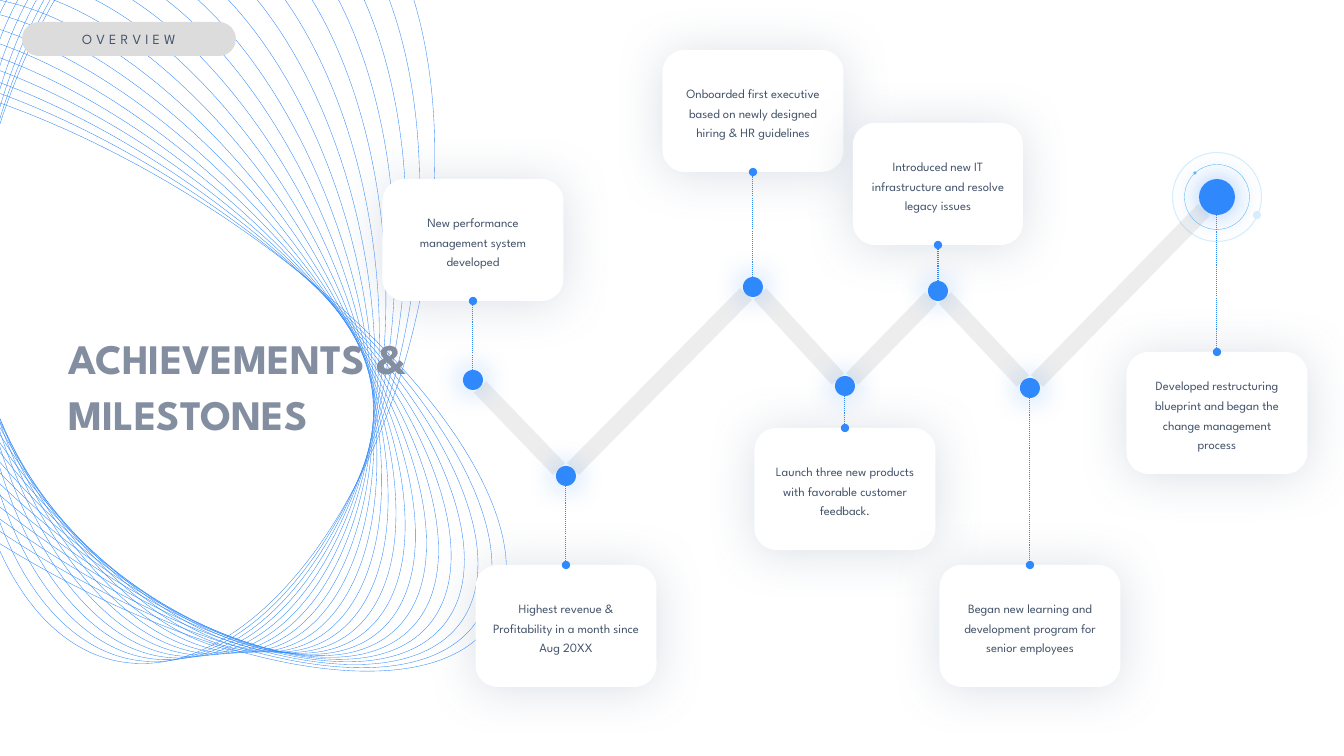
import math
from dataclasses import dataclass
from itertools import pairwise

import pptx
import pptx.util
from lxml import etree
from pptx.dml.color import RGBColor
from pptx.enum.dml import MSO_LINE
from pptx.enum.shapes import MSO_CONNECTOR, MSO_SHAPE
from pptx.enum.text import MSO_ANCHOR, MSO_AUTO_SIZE, PP_ALIGN
from pptx.oxml.ns import qn

EMU_PER_PX = 914400 / 100.8
FONT = "League Spartan"
COLORS = {
    "blue": "3089FC",
    "sky": "58B8FA",
    "pale": "D7EEFE",
    "grey": "DCDCDC",
    "white": "FFFFFF",
    "title": "848EA1",
    "text": "44546A",
    "shade": "8497B0",
}
CARD_HEIGHT = 122
RING_COUNT = 22


@dataclass(frozen=True)
class Milestone:
    x: int
    y: int
    card_top: int
    lines: tuple[str, ...]
    card_width: int = 181
    radius: int = 10


@dataclass(frozen=True)
class Shadow:
    color: str
    opacity: int
    blur: int
    distance: int = 0


@dataclass(frozen=True)
class Ring:
    """An ellipse given by its centre and the ends of two conjugate radii."""
    center: tuple[int, int]
    top: tuple[int, int]
    right: tuple[int, int]


@dataclass(frozen=True)
class Disc:
    x: int
    y: int
    diameter: int
    fill: str | None = None
    line: str | None = None
    line_width: float = 0.25
    opacity: int = 100


GLOW = Shadow("blue", 50, 21)
CARD_SHADOW = Shadow("shade", 30, 35, 2)
FIRST_RING = Ring((199, 254), (276, -154), (422, 290))
LAST_RING = Ring((94, 369), (-295, 105), (231, 222))
MILESTONES = (
    Milestone(473, 380, 179, ("New performance", "management system developed")),
    Milestone(566, 476, 565, ("Highest revenue &", "Profitability in a month since Aug 20XX")),
    Milestone(753, 287, 50, ("Onboarded first executive based on newly designed hiring & HR guidelines",)),
    Milestone(845, 386, 428, ("Launch three new products with favorable customer feedback.",)),
    Milestone(938, 291, 123, ("Introduced new IT infrastructure and resolve legacy issues",), 170),
    Milestone(1030, 388, 565, ("Began new learning and development program for senior employees",)),
    Milestone(1217, 197, 352,
              ("Developed restructuring blueprint and began the change management process",), radius=18),
)
ORBITS = (
    Disc(1217, 197, 89, line="sky", line_width=0.75, opacity=24),
    Disc(1257, 215, 8, fill="pale"),
    Disc(1217, 197, 65, line="sky"),
    Disc(1195, 173, 3, fill="sky"),
)


def emu(px: float) -> pptx.util.Emu:
    return pptx.util.Emu(round(px * EMU_PER_PX))


def rgb(name: str) -> RGBColor:
    return RGBColor.from_string(COLORS[name])


def style_line(shape, color: str, width: float, opacity: int = 100) -> None:
    shape.line.color.rgb = rgb(color)
    shape.line.width = pptx.util.Pt(width)
    if opacity < 100:
        tint = shape.element.find(f".//{qn('a:ln')}//{qn('a:srgbClr')}")
        etree.SubElement(tint, qn("a:alpha"), val=str(opacity * 1000))


def add_preset(page, kind, left: float, top: float, width: float, height: float,
               fill: str | None, shadow: Shadow | None = None):
    shape = page.shapes.add_shape(kind, emu(left), emu(top), emu(width), emu(height))
    if fill:
        shape.fill.solid()
        shape.fill.fore_color.rgb = rgb(fill)
    else:
        shape.fill.background()
    shape.line.fill.background()
    shape.shadow.inherit = False
    if shadow:
        effects = shape.element.find(f".//{qn('a:effectLst')}")
        outer = etree.SubElement(
            effects, qn("a:outerShdw"), blurRad=str(pptx.util.Pt(shadow.blur)),
            dist=str(pptx.util.Pt(shadow.distance)), dir="5400000", algn="ctr", rotWithShape="0")
        tint = etree.SubElement(outer, qn("a:srgbClr"), val=COLORS[shadow.color])
        etree.SubElement(tint, qn("a:alpha"), val=str(shadow.opacity * 1000))
    return shape


def add_disc(page, disc: Disc, shadow: Shadow | None = None) -> None:
    half = disc.diameter / 2
    shape = add_preset(page, MSO_SHAPE.OVAL, disc.x - half, disc.y - half,
                       disc.diameter, disc.diameter, disc.fill, shadow)
    if disc.line:
        style_line(shape, disc.line, disc.line_width, disc.opacity)


def style_font(para, size: int, color: str, bold: bool = False) -> None:
    para.font.name = FONT
    para.font.size = pptx.util.Pt(size)
    para.font.bold = bold
    para.font.color.rgb = rgb(color)


def fill_label(shape, lines: tuple[str, ...], size: int, side_inset: int):
    frame = shape.text_frame
    frame.word_wrap = True
    frame.vertical_anchor = MSO_ANCHOR.MIDDLE
    frame.margin_left = frame.margin_right = emu(side_inset)
    frame.margin_top = frame.margin_bottom = 0
    frame.text = "\n".join(lines)
    for para in frame.paragraphs:
        para.alignment = PP_ALIGN.CENTER
        style_font(para, size, "text")
    return frame


def add_line(page, start: tuple[int, int], end: tuple[int, int]):
    line = page.shapes.add_connector(MSO_CONNECTOR.STRAIGHT, *map(emu, start + end))
    etree.SubElement(line.element.spPr, qn("a:effectLst"))
    return line


def add_rings(page) -> None:
    """Draw the fan of ellipses that turns from the first ring to the last."""
    def blend(first: tuple[int, int], last: tuple[int, int], share: float) -> complex:
        return complex(*(a + (b - a) * share for a, b in zip(first, last)))

    for index in range(RING_COUNT):
        share = index / (RING_COUNT - 1)
        center = blend(FIRST_RING.center, LAST_RING.center, share)
        up = blend(FIRST_RING.top, LAST_RING.top, share) - center
        across = blend(FIRST_RING.right, LAST_RING.right, share) - center
        turn = math.atan2(2 * (up.conjugate() * across).real, abs(up) ** 2 - abs(across) ** 2) / 2
        major = up * math.cos(turn) + across * math.sin(turn)
        minor = across * math.cos(turn) - up * math.sin(turn)
        ring = add_preset(page, MSO_SHAPE.OVAL, center.real - abs(major), center.imag - abs(minor),
                          2 * abs(major), 2 * abs(minor), None)
        ring.rotation = math.degrees(math.atan2(major.imag, major.real)) % 360
        style_line(ring, "blue", 0.25)


def place_title(page) -> None:
    title = page.shapes.title
    title.element.getparent().append(title.element)
    title.left, title.top, title.width, title.height = map(emu, (58, 322, 359, 118))
    frame = title.text_frame
    frame.word_wrap = True
    frame.auto_size = MSO_AUTO_SIZE.SHAPE_TO_FIT_TEXT
    frame.vertical_anchor = MSO_ANCHOR.TOP
    frame.text = "ACHIEVEMENTS & MILESTONES"
    para = frame.paragraphs[0]
    para.alignment = PP_ALIGN.LEFT
    para.line_spacing = pptx.util.Pt(40)
    style_font(para, 30, "title", bold=True)


def add_link(page, start: Milestone, end: Milestone) -> None:
    """Join two nodes with a thick band between their diagonal edge points."""
    slope = 1 if end.y > start.y else -1
    near, far = (round(node.radius * math.sqrt(0.5)) for node in (start, end))
    link = add_line(page, (start.x + near, start.y + slope * near),
                    (end.x - far, end.y - slope * far))
    style_line(link, "grey", 12, 50)


def add_milestone(page, stone: Milestone) -> None:
    add_disc(page, Disc(stone.x, stone.y, 2 * stone.radius, fill="blue"), GLOW)
    card = add_preset(page, MSO_SHAPE.ROUNDED_RECTANGLE, stone.x - stone.card_width / 2,
                      stone.card_top, stone.card_width, CARD_HEIGHT, "white", CARD_SHADOW)
    card.adjustments[0] = 0.18
    for para in fill_label(card, stone.lines, 9, 10).paragraphs:
        para.line_spacing = pptx.util.Pt(14)
    below = stone.card_top > stone.y
    edge = stone.y + (stone.radius if below else -stone.radius)
    stem = add_line(page, (stone.x, edge), (stone.x, stone.card_top))
    stem.end_connect(card, 0 if below else 2)
    style_line(stem, "blue", 0.75)
    stem.line.dash_style = MSO_LINE.ROUND_DOT
    etree.SubElement(stem.element.find(f".//{qn('a:ln')}"), qn("a:tailEnd"), type="oval")


def add_section_pill(page) -> None:
    pill = add_preset(page, MSO_SHAPE.ROUNDED_RECTANGLE, 22, 22, 214, 34, "grey")
    pill.adjustments[0] = 0.5
    fill_label(pill, ("OVERVIEW",), 10, 0)
    pill.element.find(f".//{qn('a:defRPr')}").set("spc", "300")


deck = pptx.Presentation()
deck.slide_width, deck.slide_height = emu(1344), emu(756)
page = deck.slides.add_slide(deck.slide_layouts[5])
add_rings(page)
place_title(page)
for start, end in pairwise(MILESTONES):
    add_link(page, start, end)
for orbit in ORBITS:
    add_disc(page, orbit)
for stone in MILESTONES:
    add_milestone(page, stone)
add_section_pill(page)
deck.save("out.pptx")
